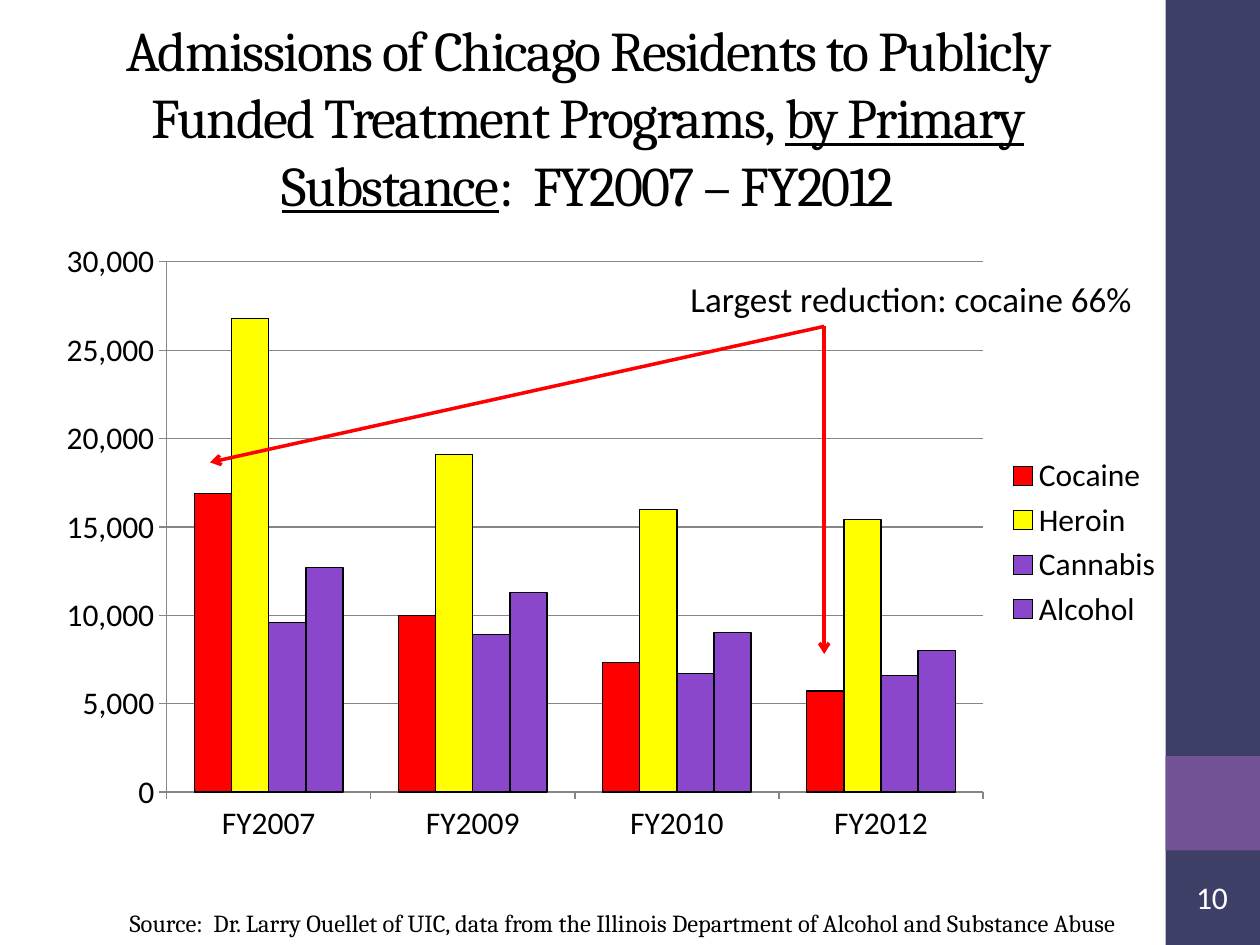
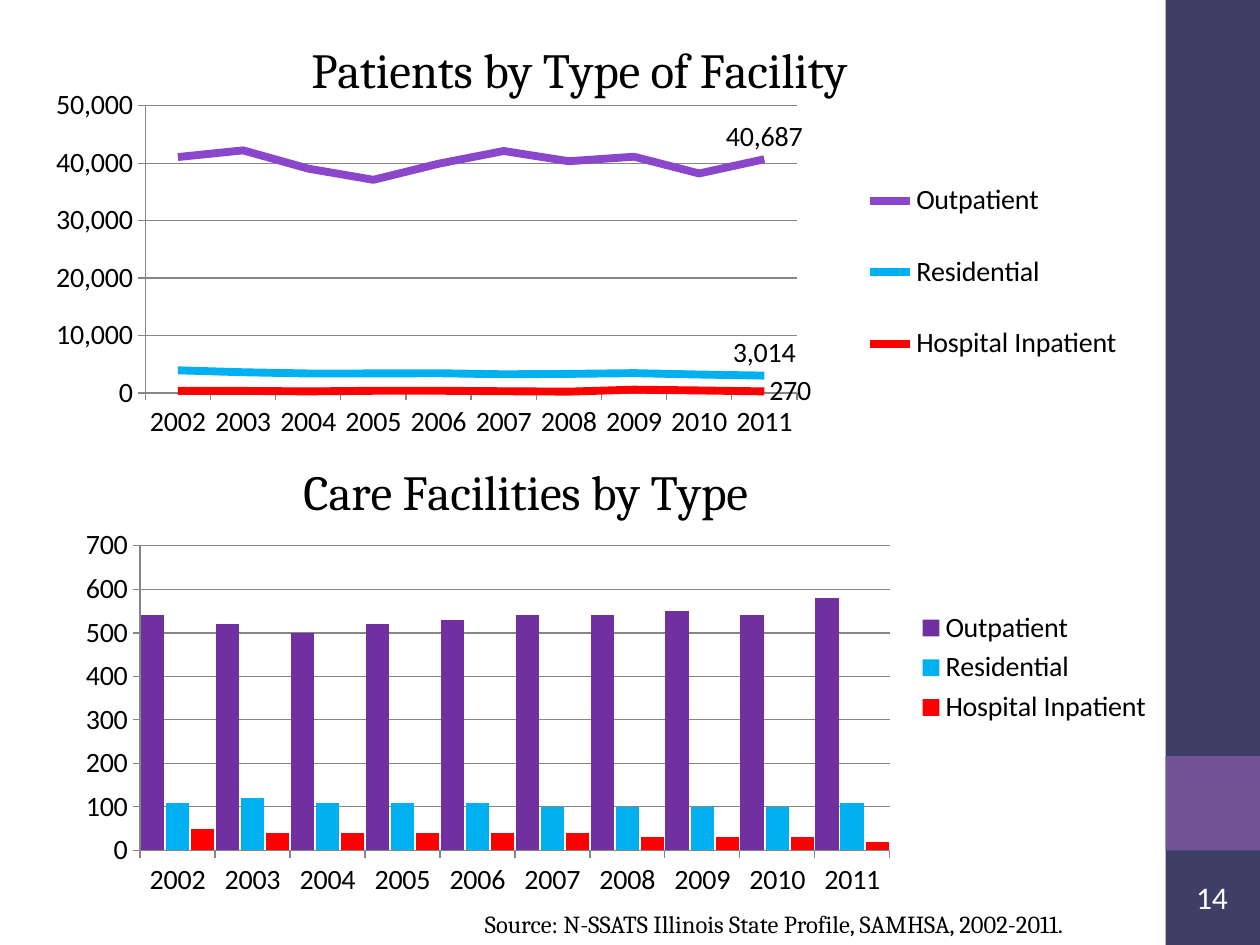
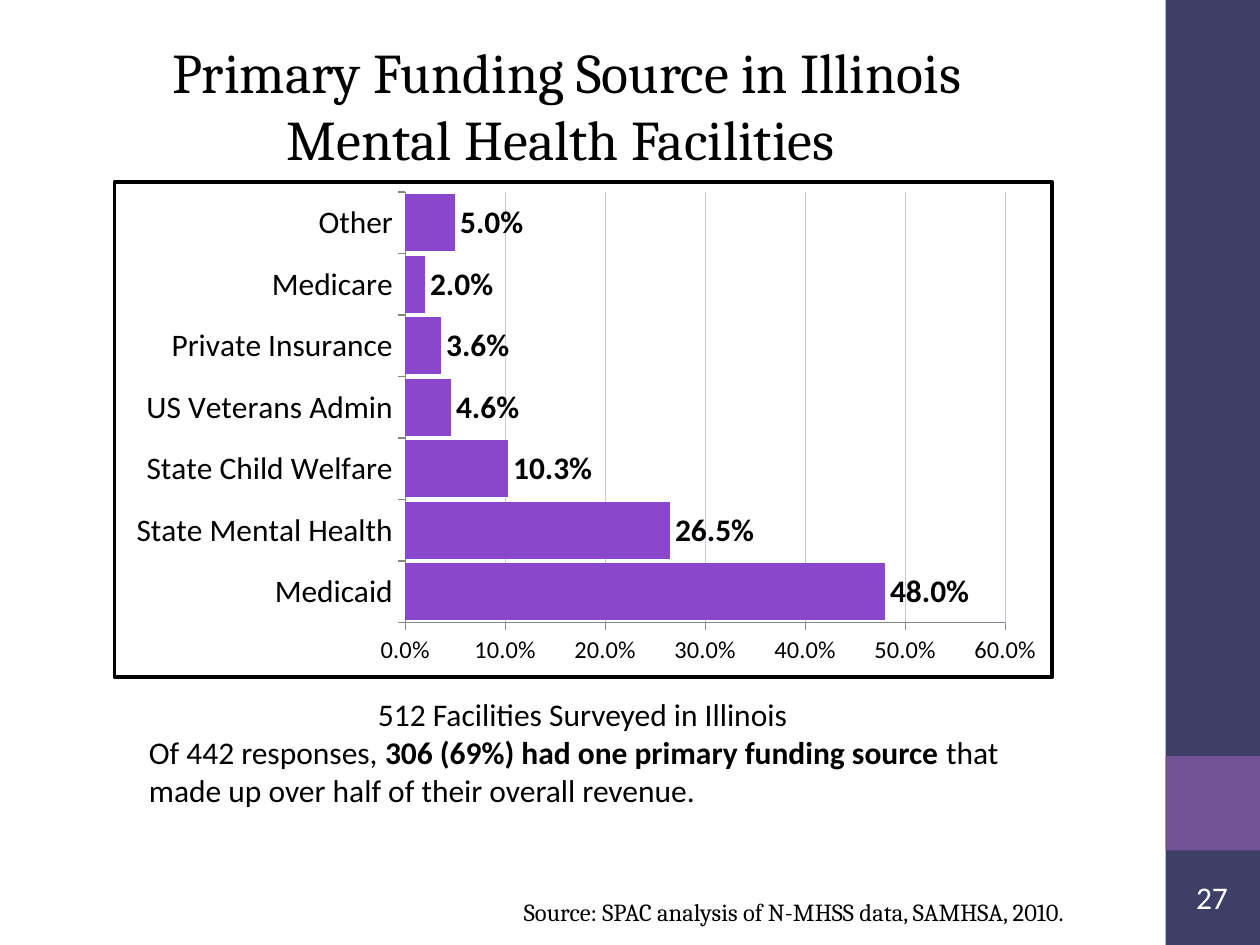
from dataclasses import dataclass
from typing import NamedTuple, Optional

from pptx import Presentation
from pptx.chart.data import CategoryChartData as Data
from pptx.dml.color import RGBColor
from pptx.enum.chart import XL_CHART_TYPE as Kind, XL_LABEL_POSITION as Spot, XL_LEGEND_POSITION as Side
from pptx.enum.shapes import MSO_CONNECTOR as Link, MSO_SHAPE as Form
from pptx.enum.text import MSO_ANCHOR as Anchor, PP_ALIGN as Align
from pptx.oxml import parse_xml
from pptx.oxml.ns import nsdecls, qn
from pptx.util import Pt

NAVY, PLUM, VIOLET, PURPLE = "3E3F67", "735195", "8A47CC", "7030A0"
RED, YELLOW, SKY = "FF0000", "FFFF00", "00B0F0"
BLACK, WHITE, GRAY, LILAC = "000000", "FFFFFF", "868686", "CFC6DC"
SANS, SERIF = "Calibri", "Cambria"
COMMA, CENT = "#,##0", "0.0%"
YEARS = [str(year) for year in range(2002, 2012)]
TYPES = ["Outpatient", "Residential", "Hospital Inpatient"]


class Box(NamedTuple):
    """Left, top, width and height in points."""
    x: float
    y: float
    w: float
    h: float

    def size(self) -> list:
        """Give the four lengths for a shape call."""
        return [Pt(v) for v in self]


class Frac(NamedTuple):
    """Place inside a chart as shares of its size."""
    x: float
    y: float
    w: Optional[float] = None
    h: Optional[float] = None


@dataclass
class Run:
    """One piece of text in one style."""
    text: str
    size: float = 18
    font: str = SANS
    color: str = BLACK
    bold: bool = False
    under: bool = False
    track: int = 0


@dataclass
class Para:
    """One paragraph of runs."""
    runs: list
    align: Align = Align.LEFT


@dataclass
class Series:
    """One named row of values."""
    name: str
    vals: list
    color: str
    spot: Optional[Spot] = None


@dataclass
class Graph:
    """All that sets one chart apart."""
    kind: Kind
    box: Box
    cats: list
    rows: list
    plot: Frac
    top: float
    step: float
    size: float = 16
    small: float = 16
    fmt: str = COMMA
    grid: str = GRAY
    gap: int = 150
    lap: int = 0
    edge: Optional[str] = None
    title: str = ""
    spot: Optional[Frac] = None
    legend: bool = True
    key: Optional[Frac] = None
    frame: bool = False
    labels: bool = False


def tint(code: str) -> RGBColor:
    """Turn a hex string into a colour."""
    return RGBColor.from_string(code)


def style(font, size: float, name: str = SANS, color: str = BLACK, bold: bool = False) -> None:
    """Set the look of a font."""
    font.size, font.name, font.bold = Pt(size), name, bold
    font.color.rgb = tint(color)


def stroke(line, color: Optional[str], width: float = 0.75) -> None:
    """Set a line, or take it away."""
    if color is None:
        line.fill.background()
        return
    line.color.rgb = tint(color)
    line.width = Pt(width)


def paint(fill, color: Optional[str]) -> None:
    """Set a plain fill, or take it away."""
    if color is None:
        fill.background()
        return
    fill.solid()
    fill.fore_color.rgb = tint(color)


def write(frame, paras: list, anchor: Anchor = Anchor.TOP) -> None:
    """Fill a text frame run by run."""
    frame.word_wrap = True
    frame.vertical_anchor = anchor
    for i, para in enumerate(paras):
        part = frame.add_paragraph() if i else frame.paragraphs[0]
        part.alignment = para.align
        for run in para.runs:
            bit = part.add_run()
            bit.text = run.text
            style(bit.font, run.size, run.font, run.color, run.bold)
            bit.font.underline = run.under
            if run.track:
                bit.font._element.set("spc", str(run.track))


def label(slide, box: Box, paras: list, anchor: Anchor = Anchor.TOP) -> None:
    """Add a text box."""
    write(slide.shapes.add_textbox(*box.size()).text_frame, paras, anchor)


def shape(slide, form: Form, box: Box, fill: Optional[str], line: Optional[str] = None, width: float = 0.75):
    """Add a preset shape without a shadow."""
    item = slide.shapes.add_shape(form, *box.size())
    item.shadow.inherit = False
    paint(item.fill, fill)
    stroke(item.line, line, width)
    return item


def arrow(slide, x: float, y: float, to_x: float, to_y: float) -> None:
    """Add a red line that ends in an arrowhead."""
    item = slide.shapes.add_connector(Link.STRAIGHT, Pt(x), Pt(y), Pt(to_x), Pt(to_y))
    stroke(item.line, RED, 2)
    item.line._get_or_add_ln().append(parse_xml(f'<a:tailEnd {nsdecls("a")} type="arrow"/>'))
    item._element.spPr.append(parse_xml(f'<a:effectLst {nsdecls("a")}/>'))


def place(host, spot: Frac, index: int, inner: bool = False) -> None:
    """Give a chart part a fixed layout."""
    for old in host.findall(qn("c:layout")):
        host.remove(old)
    tags = '<c:layoutTarget val="inner"/>' if inner else ""
    tags += '<c:xMode val="edge"/><c:yMode val="edge"/>'
    tags += "".join(f'<c:{k} val="{v}"/>' for k, v in spot._asdict().items() if v is not None)
    host.insert(index, parse_xml(
        f'<c:layout {nsdecls("c")}><c:manualLayout>{tags}</c:manualLayout></c:layout>'))


def backing(root, frame: bool) -> None:
    """Set the ground and border of a chart."""
    ink = '<a:solidFill><a:srgbClr val="%s"/></a:solidFill>'
    fill = ink % WHITE if frame else "<a:noFill/>"
    line = ink % BLACK if frame else "<a:noFill/>"
    root.find(qn("c:chart")).addnext(parse_xml(
        f'<c:spPr {nsdecls("c", "a")}>{fill}<a:ln w="{Pt(2)}">{line}</a:ln></c:spPr>'))


def axes(chart, g: Graph) -> None:
    """Style both axes and the grid."""
    cat, val = chart.category_axis, chart.value_axis
    for axis, size in ((cat, g.size), (val, g.small)):
        stroke(axis.format.line, GRAY)
        style(axis.tick_labels.font, size)
    cat.has_major_gridlines = False
    val.has_major_gridlines = True
    stroke(val.major_gridlines.format.line, g.grid)
    val.minimum_scale, val.maximum_scale, val.major_unit = 0, g.top, g.step
    val.tick_labels.number_format = g.fmt
    val.tick_labels.number_format_is_linked = False
    node = val._element
    if node.find(qn("c:crossBetween")) is None:
        node.find(qn("c:crosses")).addnext(
            parse_xml(f'<c:crossBetween {nsdecls("c")} val="between"/>'))


def mark(part, row: Series, g: Graph) -> None:
    """Style one series."""
    if g.kind == Kind.LINE:
        part.smooth = False
        stroke(part.format.line, row.color, 4.5)
    else:
        part.invert_if_negative = False
        paint(part.format.fill, row.color)
        stroke(part.format.line, g.edge)
    if row.spot is not None:
        part.data_labels.show_value = False
        tag = part.points[len(row.vals) - 1].data_label
        style(tag.font, g.size)
        tag.position = row.spot


def graph(slide, g: Graph) -> None:
    """Add a chart."""
    data = Data(number_format=g.fmt)
    data.categories = g.cats
    for row in g.rows:
        data.add_series(row.name, row.vals)
    chart = slide.shapes.add_chart(g.kind, *g.box.size(), data).chart
    style(chart.font, g.size)
    backing(chart.element, g.frame)
    axes(chart, g)
    plot = chart.plots[0]
    plot.vary_by_categories = False
    if g.kind != Kind.LINE:
        plot.gap_width, plot.overlap = g.gap, g.lap
    for part, row in zip(plot.series, g.rows):
        mark(part, row, g)
    if g.labels:
        plot.has_data_labels = True
        tags = plot.data_labels
        tags.show_value, tags.position = True, Spot.OUTSIDE_END
        tags.number_format, tags.number_format_is_linked = g.fmt, False
        style(tags.font, g.size, bold=True)
    place(chart.element.find(".//" + qn("c:plotArea")), g.plot, 0, True)
    chart.has_title = bool(g.title)
    if g.title:
        write(chart.chart_title.text_frame, [Para([Run(g.title, 28, SERIF)], Align.CENTER)])
        chart.chart_title.include_in_layout = False
        place(chart.chart_title._element, g.spot, 1)
    chart.has_legend = g.legend
    if g.legend:
        chart.legend.position = Side.RIGHT
        chart.legend.include_in_layout = False
        style(chart.legend.font, g.size)
        if g.key:
            place(chart.legend._element, g.key, 1)


def start(deck):
    """Add a slide with its side bands."""
    slide = deck.slides.add_slide(deck.slide_layouts[6])
    shape(slide, Form.RECTANGLE, Box(666, 0, 54, 540), NAVY)
    shape(slide, Form.RECTANGLE, Box(666, 432, 54, 54), PLUM)
    return slide


def finish(slide, number: int, source: str, box: Box) -> None:
    """Add the source line and the slide number."""
    label(slide, box, [Para([Run(source, 14, SERIF)])])
    item = shape(slide, Form.DOUBLE_BRACKET, Box(671, 496.8, 43.2, 31), None)
    item.adjustments[0] = 0.18
    frame = item.text_frame
    frame.margin_left = frame.margin_right = frame.margin_top = frame.margin_bottom = 0
    write(frame, [Para([Run(str(number), color=WHITE)], Align.CENTER)], Anchor.MIDDLE)


def drugs(deck) -> None:
    """Build the slide on admissions by substance."""
    slide = start(deck)
    look = dict(size=32, font=SERIF, track=-100)
    label(slide, Box(36, 21.6, 600, 90), [Para([
        Run("Admissions of Chicago Residents to Publicly Funded Treatment Programs, ", **look),
        Run("by Primary Substance", under=True, **look),
        Run(":  FY2007 – FY2012", **look)], Align.CENTER)], Anchor.MIDDLE)
    graph(slide, Graph(
        Kind.COLUMN_CLUSTERED, Box(24, 131.8, 648, 356.4),
        ["FY2007", "FY2009", "FY2010", "FY2012"],
        [Series("Cocaine", [16900, 10000, 7300, 5700], RED),
         Series("Heroin", [26800, 19100, 16000, 15400], YELLOW),
         Series("Cannabis", [9600, 8900, 6700, 6600], VIOLET),
         Series("Alcohol", [12700, 11300, 9000, 8000], VIOLET)],
        Frac(0.11, 0.05, 0.72, 0.85), 30000, 5000, size=18, small=18, edge=BLACK))
    label(slide, Box(387.4, 154.8, 296.6, 31.7), [Para([Run("Largest reduction: cocaine 66%", 20)])])
    for x, y in ((471, 373.7), (120, 264.2)):
        arrow(slide, 471, 186.5, x, y)
    finish(slide, 10, "Source:  Dr. Larry Ouellet of UIC, data from the Illinois Department of "
           "Alcohol and Substance Abuse", Box(67, 515.5, 664.6, 24.5))


def care(deck) -> None:
    """Build the slide on patients and facilities."""
    slide = start(deck)
    people = [[41065, 42237, 39055, 37101, 39900, 42121, 40345, 41127, 38213, 40687],
              [3943, 3609, 3385, 3395, 3436, 3248, 3317, 3450, 3211, 3014],
              [367, 358, 269, 375, 388, 299, 227, 572, 439, 270]]
    sites = [[540, 520, 500, 520, 530, 540, 540, 550, 540, 580],
             [110, 120, 110, 110, 110, 100, 100, 100, 100, 110],
             [50, 40, 40, 40, 40, 40, 30, 30, 30, 20]]
    spots = [Spot.ABOVE, Spot.ABOVE, Spot.RIGHT]
    graph(slide, Graph(
        Kind.LINE, Box(6, 0, 642, 288), YEARS,
        [Series(*row) for row in zip(TYPES, people, [VIOLET, SKY, RED], spots)],
        Frac(0.12, 0.21, 0.58, 0.57), 50000, 10000,
        title="Patients by Type of Facility", spot=Frac(0.26, 0.06),
        key=Frac(0.76, 0.29, 0.23, 0.5)))
    graph(slide, Graph(
        Kind.COLUMN_CLUSTERED, Box(36, 247.7, 630, 267.8), YEARS,
        [Series(*row) for row in zip(TYPES, sites, [PURPLE, SKY, RED])],
        Frac(0.07, 0.24, 0.68, 0.65), 700, 100, gap=5, lap=-7,
        title="Care Facilities by Type", spot=Frac(0.21, 0.04)))
    finish(slide, 14, "Source: N-SSATS Illinois State Profile, SAMHSA, 2002-2011.",
           Box(270, 516.2, 408, 24.5))


def funds(deck) -> None:
    """Build the slide on funding sources."""
    slide = start(deck)
    graph(slide, Graph(
        Kind.BAR_CLUSTERED, Box(64.5, 103, 537.8, 285),
        ["Medicaid", "State Mental Health", "State Child Welfare", "US Veterans Admin",
         "Private Insurance", "Medicare", "Other"],
        [Series("Series 1", [0.48, 0.265, 0.103, 0.046, 0.036, 0.02, 0.05], VIOLET)],
        Frac(0.31, 0.02, 0.64, 0.87), 0.6, 0.1, size=18, small=14, fmt=CENT, grid=LILAC,
        gap=8, legend=False, frame=True, labels=True))
    label(slide, Box(48, 18, 552, 85), [Para([Run(
        "Primary Funding Source in Illinois Mental Health Facilities ", 32, SERIF)], Align.CENTER)])
    note = shape(slide, Form.RECTANGLE, Box(78, 393.8, 510, 90.7), WHITE, WHITE, 2.25)
    write(note.text_frame, [
        Para([Run("512 Facilities Surveyed in Illinois")], Align.CENTER),
        Para([Run("Of 442 responses, "),
              Run("306 (69%) had one primary funding source", bold=True),
              Run(" that made up over half of their overall revenue.")])])
    finish(slide, 27, "Source: SPAC analysis of N-MHSS data, SAMHSA, 2010.",
           Box(292.3, 509, 374.4, 24.5))


def main() -> None:
    """Build and save the deck."""
    deck = Presentation()
    deck.slide_width, deck.slide_height = Pt(720), Pt(540)
    for build in (drugs, care, funds):
        build(deck)
    deck.save("out.pptx")


if __name__ == "__main__":
    main()
